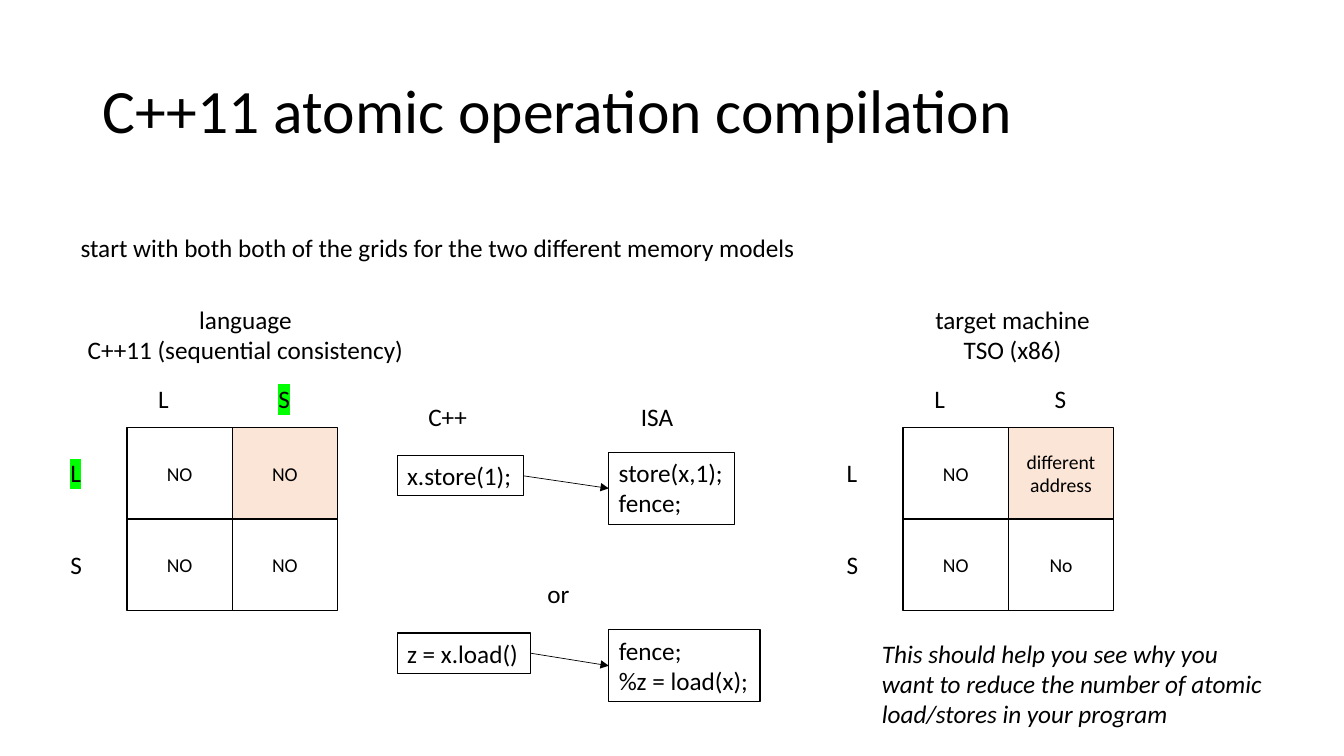
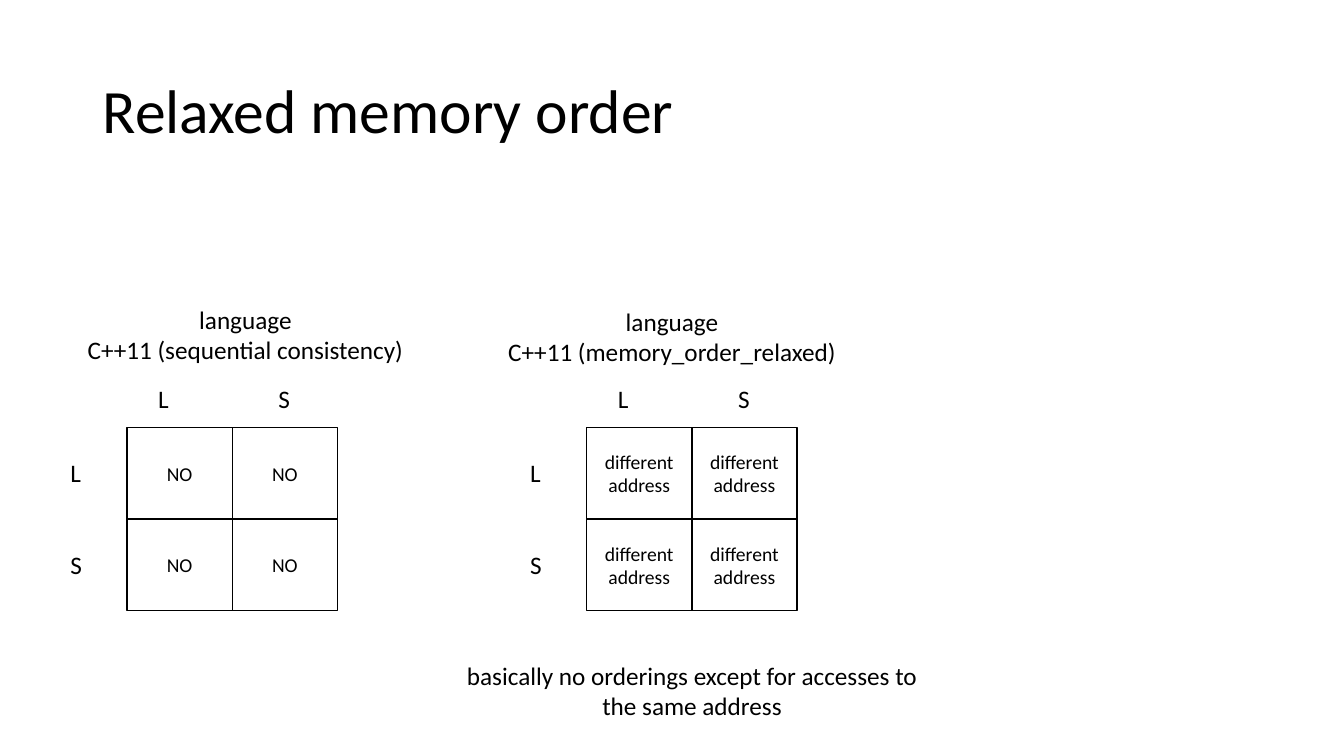
"""Build two slides that compare C++11 memory models as load/store grids."""
from dataclasses import dataclass

from lxml.etree import SubElement
from pptx import Presentation
from pptx.dml.color import RGBColor
from pptx.enum.shapes import MSO_CONNECTOR, MSO_SHAPE
from pptx.enum.text import MSO_ANCHOR, MSO_AUTO_SIZE, PP_ALIGN
from pptx.oxml.ns import qn
from pptx.util import Inches, Pt


@dataclass(frozen=True)
class Theme:
    font: str = "Calibri"
    ink: str = "000000"
    accent: str = "FBE5D6"
    marker: str = "00FF00"
    title_size: int = 44
    body_size: int = 18
    cell_size: int = 14
    cell_line: float = 1
    code_line: float = 0.75
    arrow_line: float = 0.5
    columns: int = 100
    rows: int = 100
    cell_width: float = 7.83
    cell_height: float = 12.13
    grid_top: float = 56.53
    line_height: float = 5.33
    two_lines: float = 9.47


class Slides:
    def __init__(self, theme):
        self.theme = theme
        self.deck = Presentation()
        self.deck.slide_width = Inches(13.33)
        self.deck.slide_height = Inches(7.5)
        self.page = None

    def place(self, column, row, width, height):
        across = self.deck.slide_width / self.theme.columns
        down = self.deck.slide_height / self.theme.rows
        return (round(column * across), round(row * down),
                round(width * across), round(height * down))

    def set_text(self, box, text, size, align=PP_ALIGN.LEFT, anchor=MSO_ANCHOR.TOP,
                 wrap=False, italic=None, marked=False):
        frame = box.text_frame
        frame.text = text
        frame.word_wrap = wrap
        frame.vertical_anchor = anchor
        for para in frame.paragraphs:
            para.alignment = align
            for gap in para._p.findall(qn("a:br")):
                SubElement(gap, qn("a:rPr"), sz=str(size * 100))
            for span in para.runs:
                span.font.name = self.theme.font
                span.font.size = Pt(size)
                span.font.italic = italic
                span.font.color.rgb = RGBColor.from_string(self.theme.ink)
                if marked:
                    self.highlight(span)

    def highlight(self, span):
        properties = span._r.get_or_add_rPr()
        marker = SubElement(properties, qn("a:highlight"))
        SubElement(marker, qn("a:srgbClr"), val=self.theme.marker)
        properties.find(qn("a:solidFill")).addnext(marker)

    def title(self, text):
        self.page = self.deck.slides.add_slide(self.deck.slide_layouts[6])
        box = self.page.shapes.add_textbox(*self.place(6.9, 5.33, 86.25, 19.33))
        self.set_text(box, text, self.theme.title_size, anchor=MSO_ANCHOR.MIDDLE, wrap=True)
        box.text_frame.paragraphs[0].line_spacing = 0.9

    def label(self, text, column, row, width, height=None, **style):
        height = height or self.theme.line_height
        box = self.page.shapes.add_textbox(*self.place(column, row, width, height))
        self.set_text(box, text, self.theme.body_size, **style)
        box.text_frame.auto_size = MSO_AUTO_SIZE.SHAPE_TO_FIT_TEXT

    def frame(self, column, row, width, height, line, fill=None):
        box = self.page.shapes.add_shape(
            MSO_SHAPE.RECTANGLE, *self.place(column, row, width, height))
        box.shadow.inherit = False
        box.line.color.rgb = RGBColor.from_string(self.theme.ink)
        box.line.width = Pt(line)
        if fill:
            box.fill.solid()
            box.fill.fore_color.rgb = RGBColor.from_string(fill)
        else:
            box.fill.background()
        return box

    def code(self, text, column, row, width, height):
        box = self.frame(column, row, width, height, self.theme.code_line)
        self.set_text(box, text, self.theme.body_size)
        box.text_frame.auto_size = MSO_AUTO_SIZE.SHAPE_TO_FIT_TEXT
        return box

    def arrow(self, source, target):
        line = self.page.shapes.add_connector(MSO_CONNECTOR.STRAIGHT, 0, 0, 0, 0)
        line.begin_connect(source, 3)
        line.end_connect(target, 1)
        line.line.color.rgb = RGBColor.from_string(self.theme.ink)
        line.line.width = Pt(self.theme.arrow_line)
        SubElement(line.line._get_or_add_ln(), qn("a:tailEnd"), type="triangle")
        SubElement(line._element.spPr, qn("a:effectLst"))

    def compilation(self, row, source, source_width, target, target_width):
        theme = self.theme
        origin = self.code(source, 29.55, row + 0.4, source_width, theme.line_height)
        result = self.code(target, 45.3, row, target_width, theme.two_lines)
        self.arrow(origin, result)

    def heading(self, text, center, width, row=39.6):
        self.label(text, center - width / 2, row, width, self.theme.two_lines,
                   align=PP_ALIGN.CENTER)

    def matrix(self, left, entries, accented=None, marked=False):
        theme = self.theme
        for row, line in enumerate(entries):
            for column, text in enumerate(line):
                fill = theme.accent if (row, column) == accented else None
                box = self.frame(left + column * theme.cell_width,
                                 theme.grid_top + row * theme.cell_height,
                                 theme.cell_width, theme.cell_height,
                                 theme.cell_line, fill)
                self.set_text(box, text, theme.cell_size, PP_ALIGN.CENTER,
                              MSO_ANCHOR.MIDDLE, wrap=True)
        for index, letter in enumerate("LS"):
            self.label(letter, left + 1.58 + index * 8.95, 50, 2.35,
                       marked=marked and letter == "S")
            self.label(letter, left - 4.95,
                       theme.grid_top + 3.33 + index * theme.cell_height, 2.35,
                       marked=marked and letter == "L")


def main():
    slides = Slides(Theme())
    sequential = "language\vC++11 (sequential consistency)"
    never = [["NO", "NO"], ["NO", "NO"]]
    different = "different\vaddress"

    slides.title("C++11 atomic operation compilation")
    slides.label("start with both both of the grids for the two different memory models",
                 5.25, 30.13, 55.73)
    slides.heading(sequential, 18.26, 25.28)
    slides.matrix(9.45, never, accented=(0, 1), marked=True)
    slides.heading("target machine\vTSO (x86)", 75.34, 13.13)
    slides.matrix(67.2, [["NO", different], ["NO", "No"]], accented=(0, 1))
    slides.label("C++", 31.13, 52.4, 4.43)
    slides.label("ISA", 46.95, 52.4, 3.9)
    slides.compilation(59.87, "x.store(1);", 9.38, "store(x,1);\vfence;", 9.38)
    slides.label("or", 39.98, 75.87, 3.15)
    slides.compilation(83.33, "z = x.load()", 9.9, "fence;\v%z = load(x);", 11.25)
    slides.label("This should help you see why you\vwant to reduce the number of atomic"
                 "\vload/stores in your program", 64.88, 83.73, 30.45, 13.47, italic=True)

    slides.title("Relaxed memory order")
    slides.heading(sequential, 18.26, 25.28)
    slides.matrix(9.45, never)
    slides.heading("language\vC++11 (memory_order_relaxed)", 50, 26.18, 39.87)
    slides.matrix(43.65, [[different, different], [different, "different\naddress"]])
    slides.label("basically no orderings except for accesses to the same address",
                 33.68, 86.67, 35.63, slides.theme.two_lines,
                 align=PP_ALIGN.CENTER, wrap=True)

    slides.deck.save("out.pptx")


if __name__ == "__main__":
    main()
